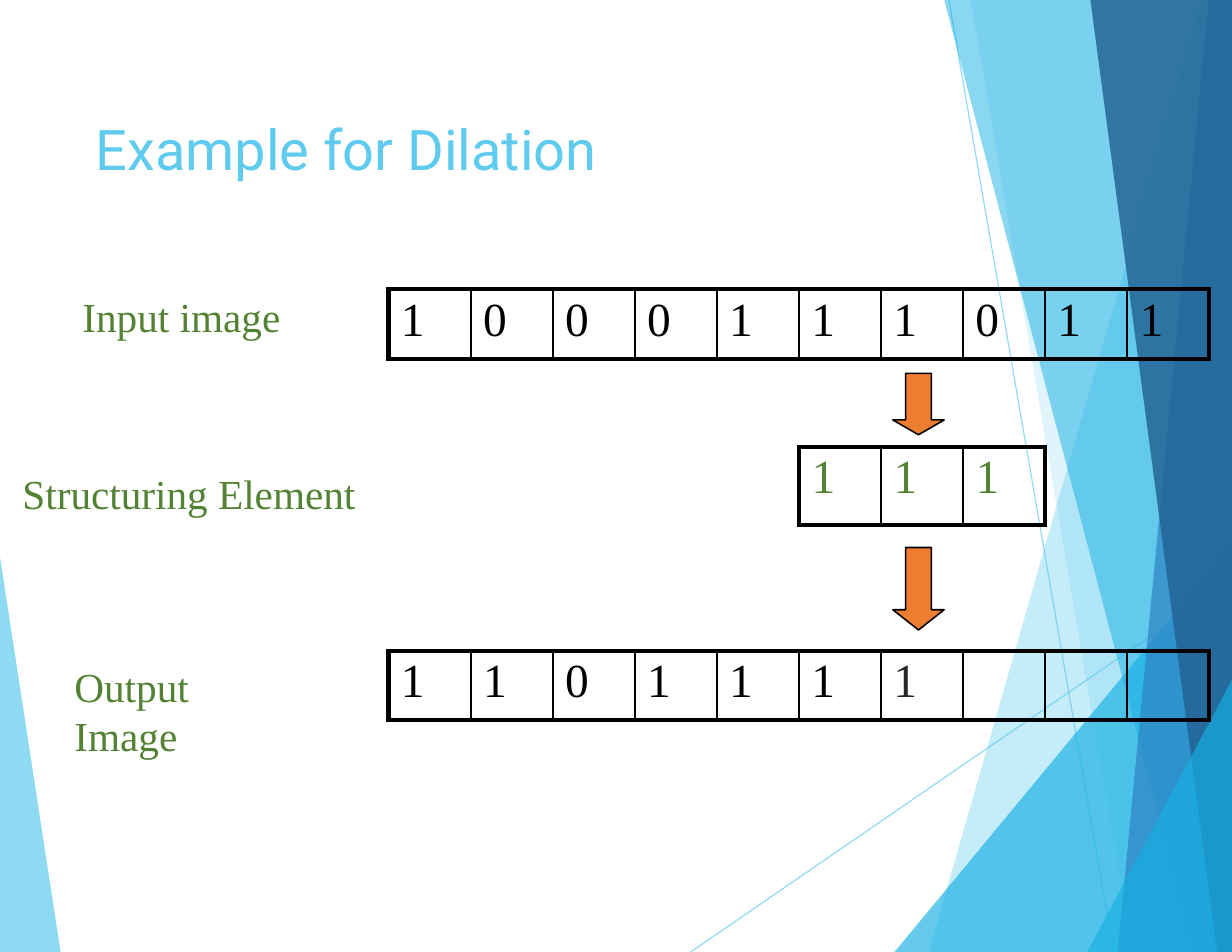
from pptx import Presentation
from pptx.dml.color import RGBColor as Rgb
from pptx.enum.shapes import MSO_CONNECTOR as Link, MSO_SHAPE as Shape
from pptx.enum.text import MSO_ANCHOR as Anchor, MSO_AUTO_SIZE as Auto, PP_ALIGN as Align
from pptx.oxml import parse_xml
from pptx.oxml.ns import nsdecls, qn
from pptx.util import Pt

WIDE, HIGH = 792, 612
COL = 52.78
SKY = Rgb(0x5F, 0xCB, 0xEF)
CYAN = Rgb(0x17, 0xB0, 0xE4)
BLUE = Rgb(0x2E, 0x83, 0xC3)
NAVY = Rgb(0x22, 0x62, 0x92)
GREEN = Rgb(0x54, 0x82, 0x35)
ORANGE = Rgb(0xED, 0x7D, 0x31)
BLACK = Rgb(0, 0, 0)
DARK = Rgb(0x26, 0x26, 0x26)

RAYS = [((444, 612), (792, 373)), ((610, 0), (716, 612))]
EDGE = [(792, 612), (792, 0)]
FACETS = [
    ([(0, 358), (39, 612), (0, 612)], SKY, 70),
    ([(772.5, 0), (597, 612), *EDGE], SKY, 36),
    ([(624, 0), (728, 612), *EDGE], SKY, 20),
    ([(575, 612), (792, 350), (792, 612)], CYAN, 66),
    ([(607, 0), (768, 612), *EDGE], CYAN, 50),
    ([(777, 0), (718.5, 612), *EDGE], BLUE, 70),
    ([(701, 0), (782.5, 612), *EDGE], NAVY, 82),
    ([(699, 612), (792, 437), (792, 612)], CYAN, 66),
]


def style(item, form):
    """Set each attribute named in the form."""
    for name, value in form.items():
        setattr(item, name, value)


def fade(shape, alpha):
    """Make the colour of a shape partly clear."""
    color = next(shape._element.spPr.iter(qn("a:srgbClr")))
    color.append(parse_xml(f'<a:alpha {nsdecls("a")} val="{alpha * 1000}"/>'))


def write(para, text, size, face, color, before):
    """Fill a paragraph with one styled run."""
    para.space_before = Pt(before)
    run = para.add_run()
    run.text = text
    style(run.font, {"size": Pt(size), "name": face})
    run.font.color.rgb = color


def backdrop(slide, left, top):
    """Draw the rays and the clear facets."""
    for start, end in RAYS:
        ends = [Pt(n) for x, y in (start, end) for n in (left + x, top + y)]
        ray = slide.shapes.add_connector(Link.STRAIGHT, *ends)
        ray.line.width = Pt(0.75)
        ray.line.color.rgb = SKY
        fade(ray, 70)
        ray._element.spPr.append(parse_xml(f'<a:effectLst {nsdecls("a")}/>'))
    for points, color, alpha in FACETS:
        first, *rest = [(Pt(left + x), Pt(top + y)) for x, y in points]
        pen = slide.shapes.build_freeform(*first)
        pen.add_line_segments(rest)
        facet = pen.convert_to_shape()
        facet.shadow.inherit = False
        facet.fill.solid()
        facet.fill.fore_color.rgb = color
        facet.line.fill.background()
        fade(facet, alpha)


def heading(slide, box, text):
    """Place the title in its box."""
    title = slide.shapes.title
    style(title, dict(zip(("left", "top", "width", "height"), map(Pt, box))))
    frame = title.text_frame
    style(frame, {"margin_left": 0, "margin_right": 0, "margin_top": Pt(1.4),
                  "margin_bottom": 0, "vertical_anchor": Anchor.TOP,
                  "auto_size": Auto.NONE, "word_wrap": True})
    para = frame.paragraphs[0]
    para.alignment = Align.LEFT
    write(para, text, 36, "Roboto", SKY, 1.4)


def labels(slide, box, lines):
    """Place green labels, each with its indent and space before."""
    frame = slide.shapes.add_textbox(*map(Pt, box)).text_frame
    style(frame, {"margin_left": 0, "margin_right": 0, "margin_top": Pt(0.9),
                  "margin_bottom": 0, "word_wrap": True})
    for rank, (text, indent, before) in enumerate(lines):
        para = frame.add_paragraph() if rank else frame.paragraphs[0]
        para._p.get_or_add_pPr().set("marL", str(Pt(indent)))
        write(para, text, 26.5, "Times New Roman", GREEN, before)


def border(cell, side, width):
    """Draw one black side of a cell."""
    cell._tc.get_or_add_tcPr().append(parse_xml(
        f'<a:ln{side} {nsdecls("a")} w="{Pt(width)}"><a:solidFill>'
        f'<a:srgbClr val="{BLACK}"/></a:solidFill></a:ln{side}>'))


def strip(slide, box, marks, colors):
    """Draw a row of pixels, one cell for each colour."""
    count = len(colors)
    table = slide.shapes.add_table(1, count, *map(Pt, box)).table
    style(table, {"first_row": False, "horz_banding": False})
    for rank, color in enumerate(colors):
        table.columns[rank].width = Pt(box[2] / count)
        cell = table.cell(0, rank)
        style(cell, {"margin_left": Pt(8), "margin_right": 0,
                     "margin_top": Pt(3), "margin_bottom": 0})
        border(cell, "L", 3 if rank == 0 else 1.5)
        border(cell, "R", 3 if rank == count - 1 else 1.5)
        border(cell, "T", 3)
        border(cell, "B", 3)
        cell.fill.background()
        if rank < len(marks):
            para = cell.text_frame.paragraphs[0]
            write(para, marks[rank], 30.5, "Times New Roman", color, 3.1)


def arrow(slide, box, head):
    """Draw an orange arrow that points down."""
    shape = slide.shapes.add_shape(Shape.DOWN_ARROW, *map(Pt, box))
    shape.shadow.inherit = False
    shape.adjustments[0] = 0.5
    shape.adjustments[1] = head / box[2]
    shape.fill.solid()
    shape.fill.fore_color.rgb = ORANGE
    shape.line.color.rgb = BLACK
    shape.line.width = Pt(1)


def main():
    """Build and save the slide."""
    deck = Presentation()
    style(deck, {"slide_width": Pt(WIDE), "slide_height": Pt(HIGH)})
    slide = deck.slides.add_slide(deck.slide_layouts[5])
    backdrop(slide, 0, 0)
    heading(slide, (61.5, 72, 484.5, 45.5), "Example for Dilation")
    left = 249.8
    strip(slide, (left, 186, 10 * COL, 44.6), "1000111011", [BLACK] * 10)
    labels(slide, (13.5, 186.5, 215.5, 142.5),
           [("Input image", 39.5, 0.9), ("Structuring Element", 1, 82)])
    labels(slide, (46.8, 424, 147.5, 34), [("Output Image", 1, 0.9)])
    strip(slide, (left + 5 * COL, 287.3, 3 * COL, 50.4), "111", [GREEN] * 3)
    arrow(slide, (574, 352, 33, 53), 13)
    arrow(slide, (574, 240, 33, 39.5), 9.5)
    strip(slide, (left, 418.5, 10 * COL, 44.6), "1101111",
          [BLACK] * 6 + [DARK] * 4)
    deck.save("out.pptx")


if __name__ == "__main__":
    main()
